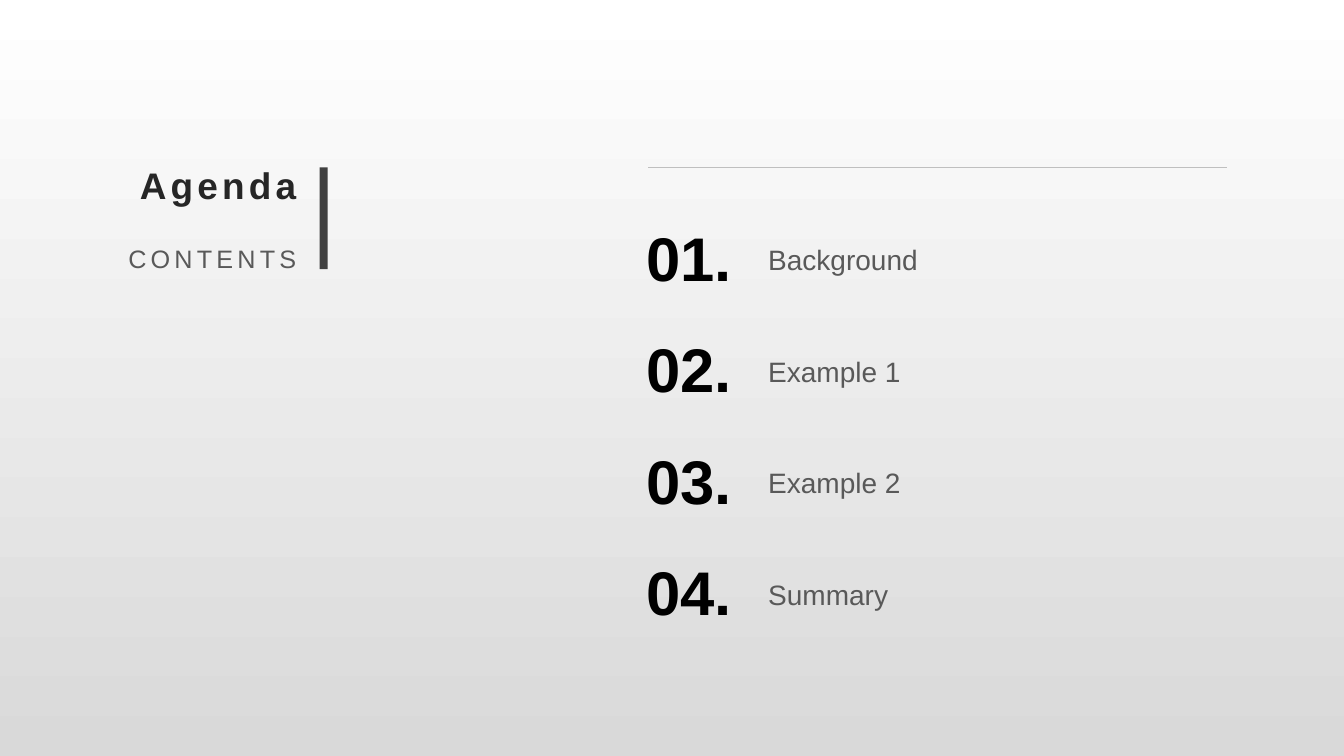
import pptx
import pptx.util
import pptx.dml.color
import pptx.enum.text
import pptx.enum.shapes
import pptx.oxml

Inches = pptx.util.Inches
Anchor = pptx.enum.text.MSO_ANCHOR
Align = pptx.enum.text.PP_ALIGN

HEAD = {"size": 26.4, "bold": True, "color": "262626"}
SUB = {"size": 18, "bold": False, "color": "595959"}
NUMBER = {"size": 44, "bold": True, "color": "000000"}
TOPIC = {"size": 20, "bold": False, "color": "595959"}
TOPICS = ["Background", "Example 1", "Example 2", "Summary"]


def tint(value):
    return pptx.dml.color.RGBColor.from_string(value)


def put(items, target):
    for name, value in items.items():
        setattr(target, name, value)


def write(shape, box, text, style, anchor, align=Align.LEFT, pad=(0.1, 0.05), gap=1.0, track=0):
    left, top, width, height = map(Inches, box)
    put({"left": left, "top": top, "width": width, "height": height}, shape)
    side, head = map(Inches, pad)
    frame = shape.text_frame
    put({
        "word_wrap": True,
        "auto_size": pptx.enum.text.MSO_AUTO_SIZE.NONE,
        "vertical_anchor": anchor,
        "margin_left": Inches(0.1),
        "margin_right": side,
        "margin_top": head,
        "margin_bottom": Inches(0.05),
    }, frame)
    line = frame.paragraphs[0]
    put({"alignment": align, "line_spacing": gap}, line)
    run = line.add_run()
    run.text = text
    put({"name": "Arial", "size": pptx.util.Pt(style["size"]), "bold": style["bold"]}, run.font)
    run.font.color.rgb = tint(style["color"])
    if track:
        run.font._element.set("spc", str(track * 100))


def label(slide, box, *args, **keys):
    write(slide.shapes.add_textbox(*map(Inches, box)), box, *args, **keys)


def heading(slide, left, top, width):
    write(slide.shapes.title, (left, top, width, 0.84), "Agenda", HEAD,
          Anchor.TOP, Align.RIGHT, pad=(0.05, 0.09), track=3)
    label(slide, (left, top + 0.84, width, 0.4), "CONTENTS", SUB,
          Anchor.BOTTOM, Align.RIGHT, pad=(0.05, 0.05), track=3)
    bar = slide.shapes.add_shape(
        pptx.enum.shapes.MSO_SHAPE.RECTANGLE,
        *map(Inches, (left + 2.2, top + 0.14, 0.08, 1.01)))
    bar.shadow.inherit = False
    bar.fill.solid()
    bar.fill.fore_color.rgb = tint("404040")
    bar.line.fill.background()


def agenda(slide, left, top, width):
    rule = slide.shapes.add_connector(
        pptx.enum.shapes.MSO_CONNECTOR.STRAIGHT,
        *map(Inches, (left + 0.12, top, left + width, top)))
    rule.line.color.rgb = tint("BFBFBF")
    rule.line.width = pptx.util.Pt(0.5)
    rule._element.spPr.append(pptx.oxml.parse_xml(
        '<a:effectLst xmlns:a="http://schemas.openxmlformats.org/drawingml/2006/main"/>'))
    for index, topic in enumerate(TOPICS):
        row = top + 0.46 + index * 1.107
        label(slide, (left, row, 1.05, 0.84), f"{index + 1:02}.", NUMBER, Anchor.BOTTOM)
        label(slide, (left + 1.21, row, width - 1.22, 0.84), topic, TOPIC, Anchor.MIDDLE, gap=1.2)


def backdrop(slide):
    fill = slide.background.fill
    fill.gradient()
    fill.gradient_angle = 270
    for stop, (place, color) in zip(fill.gradient_stops, [(0, "FFFFFF"), (1, "D9D9D9")]):
        stop.position = place
        stop.color.rgb = tint(color)


def main():
    deck = pptx.Presentation()
    put({"slide_width": Inches(13.33), "slide_height": Inches(7.5)}, deck)
    slide = deck.slides.add_slide(deck.slide_layouts.get_by_name("Title Only"))
    backdrop(slide)
    heading(slide, 0.97, 1.52, 2.02)
    agenda(slide, 6.31, 1.66, 5.86)
    deck.save("out.pptx")


if __name__ == "__main__":
    main()
